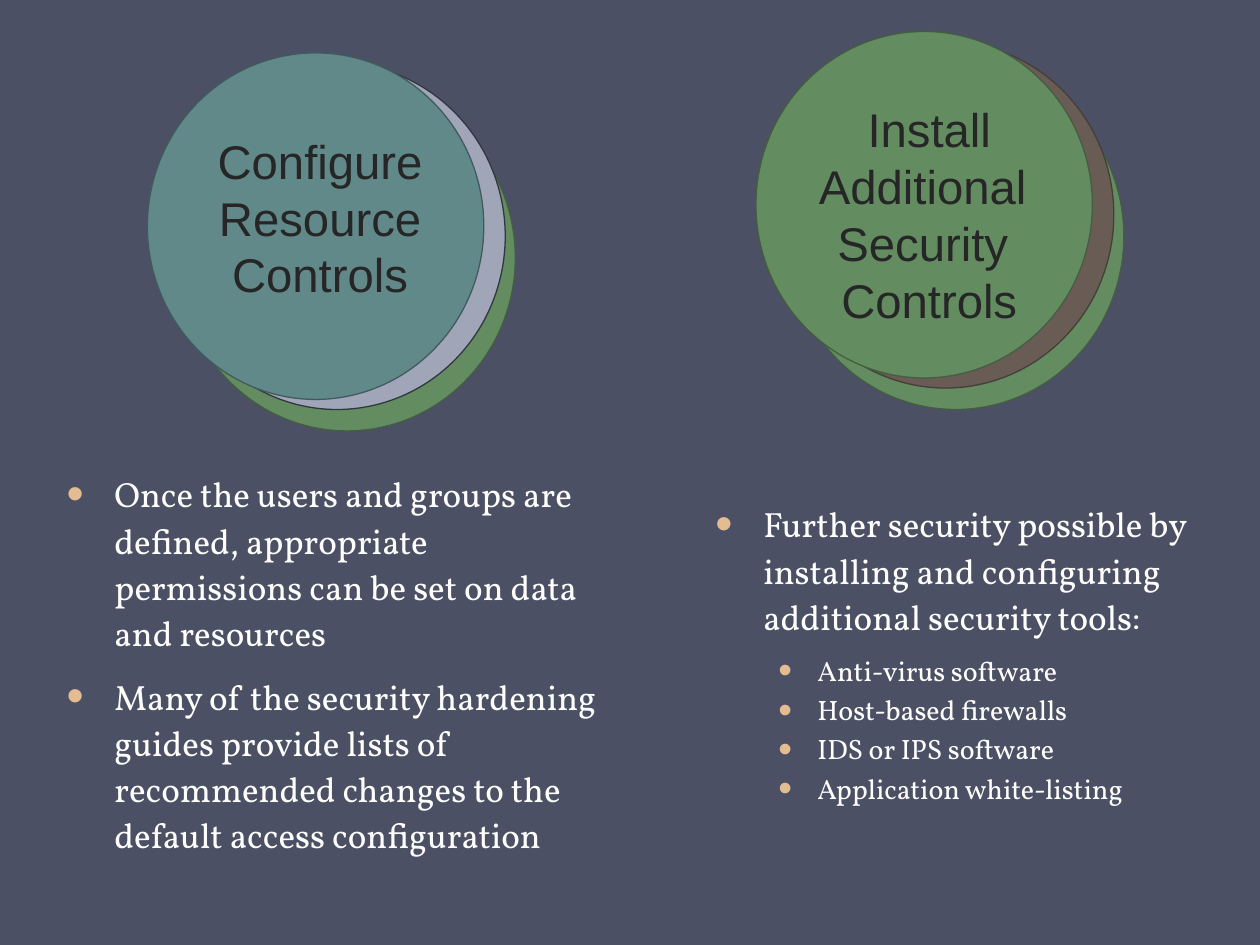
"""Build a slide on resource controls and additional security controls."""
from lxml import etree
from pptx import Presentation
from pptx.dml.color import RGBColor
from pptx.enum import shapes, text
from pptx.oxml import ns
from pptx.util import Inches, Pt

SLATE = RGBColor(0x4B, 0x50, 0x64)
GREEN, MOSS = RGBColor(0x64, 0x8C, 0x61), RGBColor(0x43, 0x5E, 0x40)
TEAL, PINE = RGBColor(0x61, 0x89, 0x8A), RGBColor(0x41, 0x5B, 0x5C)
LILAC, INK = RGBColor(0xA0, 0xA5, 0xB8), RGBColor(0x32, 0x36, 0x43)
BROWN, BARK = RGBColor(0x69, 0x5C, 0x54), RGBColor(0x46, 0x3E, 0x38)
SAND = RGBColor(0xE3, 0xBC, 0x92)
DARK = RGBColor(0x26, 0x26, 0x26)
WHITE = RGBColor(0xFF, 0xFF, 0xFF)

COLUMNS = [
    {
        "disc": (1.17, 0.42),
        "colors": [(GREEN, MOSS), (LILAC, INK), (TEAL, PINE)],
        "title": "Configure\nResource\nControls",
        "title_box": (1.25, 1, 2.58, 1.46),
        "body_box": (0.43, 3.67, 4.42, 4.25),
        "points": [
            (0, "Once the users and groups are defined, appropriate "
                "permissions can be set on data and resources"),
            (0, "Many of the security hardening guides provide lists of "
                "recommended changes to the default access configuration"),
        ],
    },
    {
        "disc": (6, 0.25),
        "colors": [(GREEN, MOSS), (BROWN, BARK), (GREEN, MOSS)],
        "title": "Install\nAdditional \nSecurity \nControls",
        "title_box": (6, 0.75, 2.75, 1.92),
        "body_box": (5.58, 3.91, 4.17, 3.84),
        "points": [
            (0, "Further security possible by installing and configuring "
                "additional security tools:"),
            (1, "Anti-virus software"),
            (1, "Host-based firewalls"),
            (1, "IDS or IPS software"),
            (1, "Application white-listing"),
        ],
    },
]
OFFSETS = [(0.25, 0.25), (0.17, 0.08), (0, 0)]
DISC = (2.67, 2.75)
LEVELS = [
    {"size": 20, "left": 0.38, "hang": 0.38, "line": 1.1, "after": 6},
    {"size": 16, "left": 0.81, "hang": 0.31, "line": 1, "after": 0},
]


def add_disc(slide, left, top, fill, edge):
    box = map(Inches, (left, top, *DISC))
    disc = slide.shapes.add_shape(shapes.MSO_SHAPE.OVAL, *box)
    disc.shadow.inherit = False
    disc.fill.solid()
    disc.fill.fore_color.rgb = fill
    disc.line.color.rgb = edge
    disc.line.width = Pt(0.75)


def add_frame(slide, box):
    frame = slide.shapes.add_textbox(*map(Inches, box)).text_frame
    frame.word_wrap = True
    return frame


def style(para, name, size, color):
    for run in para.runs:
        run.font.name = name
        run.font.size = Pt(size)
        run.font.color.rgb = color


def add_bullet(para, level):
    props = para._p.get_or_add_pPr()
    props.set("marL", str(Inches(level["left"])))
    props.set("indent", str(-Inches(level["hang"])))
    tint = etree.SubElement(props, ns.qn("a:buClr"))
    etree.SubElement(tint, ns.qn("a:srgbClr"), val=str(SAND))
    etree.SubElement(props, ns.qn("a:buSzPct"), val="140000")
    etree.SubElement(props, ns.qn("a:buFont"), typeface="Arial")
    etree.SubElement(props, ns.qn("a:buChar"), char="•")


def add_title(slide, box, words):
    frame = add_frame(slide, box)
    frame.text = words
    for para in frame.paragraphs:
        para.alignment = text.PP_ALIGN.CENTER
        style(para, "Arial", 27, DARK)


def add_body(slide, box, points):
    frame = add_frame(slide, box)
    frame.text = "\n".join(words for _, words in points)
    for i, (para, (depth, _)) in enumerate(zip(frame.paragraphs, points)):
        level = LEVELS[depth]
        para.level = depth
        add_bullet(para, level)
        para.line_spacing = level["line"]
        para.space_before = Pt(0.2 * level["size"] if i else 0)
        para.space_after = Pt(level["after"])
        style(para, "Vollkorn", level["size"], WHITE)


def main():
    deck = Presentation()
    deck.slide_width, deck.slide_height = Inches(10), Inches(7.5)
    slide = deck.slides.add_slide(deck.slide_layouts[6])
    slide.background.fill.solid()
    slide.background.fill.fore_color.rgb = SLATE
    for col in COLUMNS:
        left, top = col["disc"]
        for (dx, dy), (fill, edge) in zip(OFFSETS, col["colors"]):
            add_disc(slide, left + dx, top + dy, fill, edge)
        add_title(slide, col["title_box"], col["title"])
        add_body(slide, col["body_box"], col["points"])
    deck.save("out.pptx")


if __name__ == "__main__":
    main()
